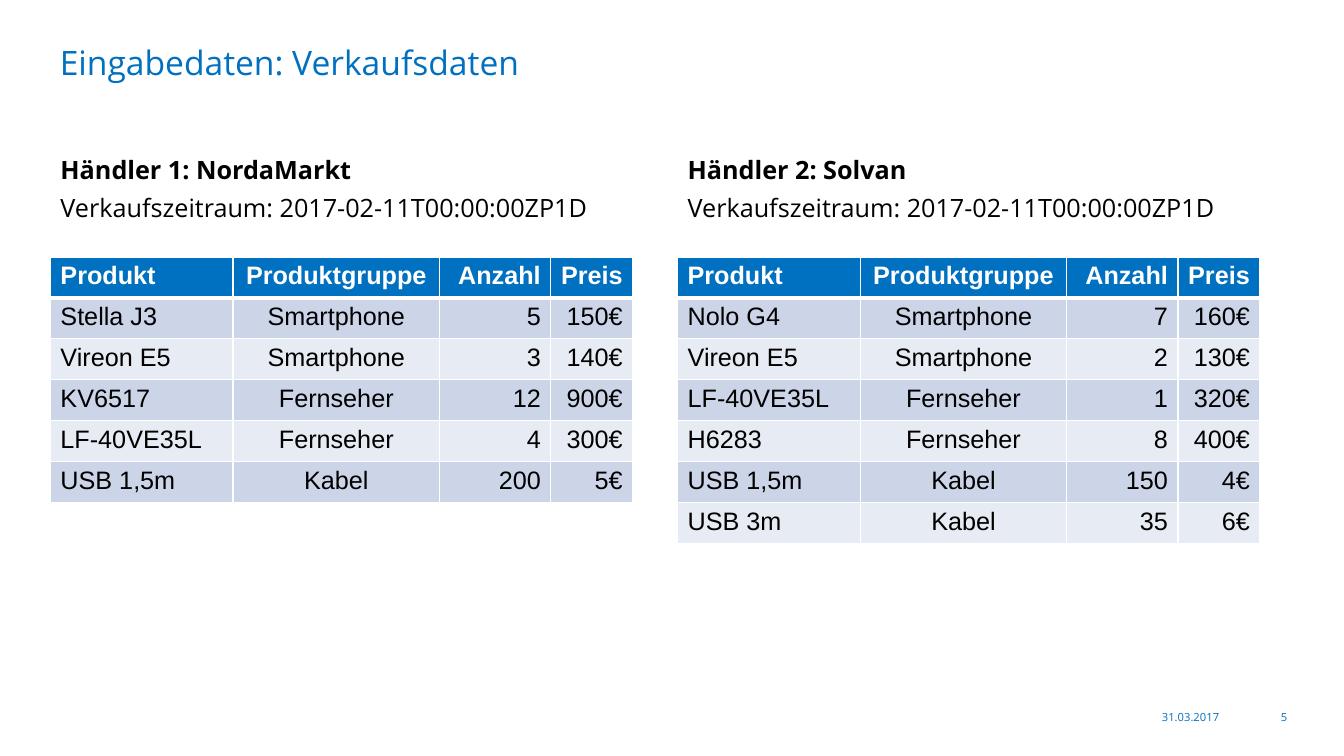
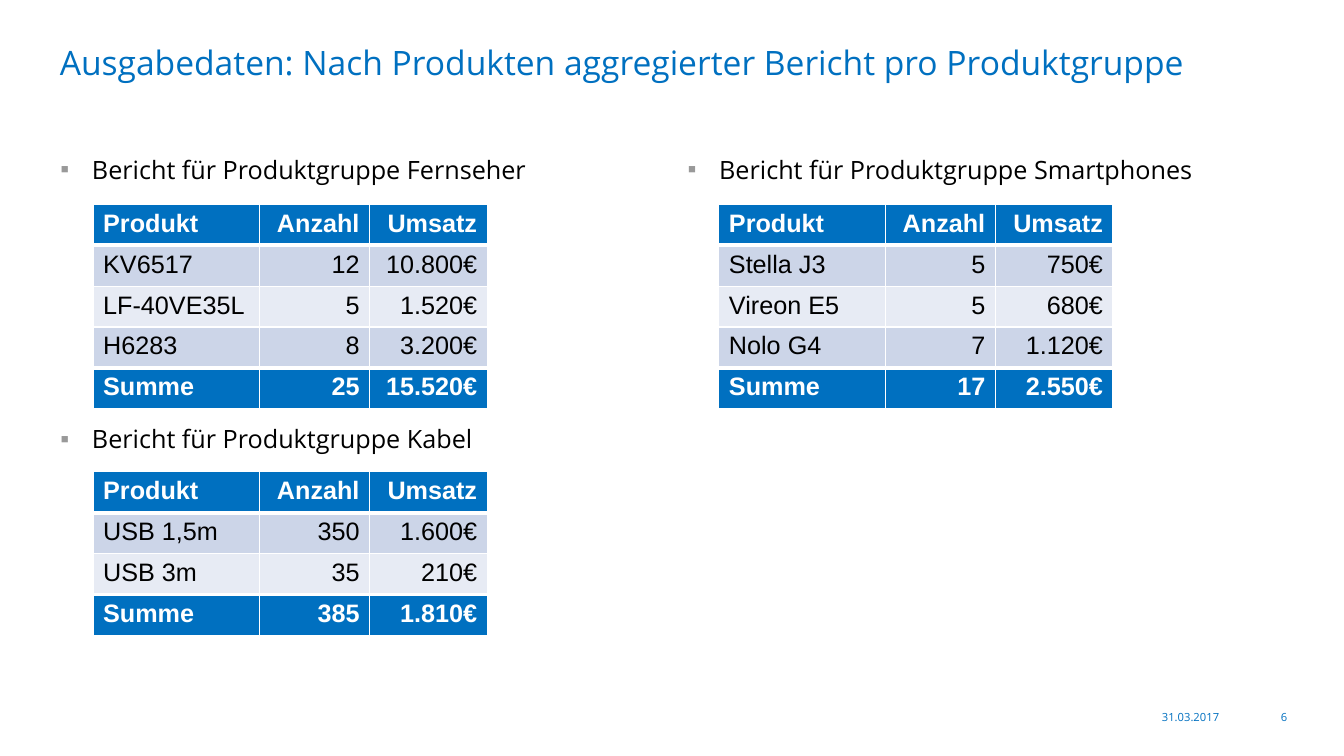
from dataclasses import dataclass

from lxml import etree
from pptx import Presentation, util as u
from pptx.dml.color import RGBColor
from pptx.enum import text
from pptx.oxml import ns

Pt = u.Pt
LEFT, CENTER, RIGHT = (text.PP_ALIGN.LEFT, text.PP_ALIGN.CENTER,
                       text.PP_ALIGN.RIGHT)

# Content
DATE = "31.03.2017"
FIRST_NUMBER = 5
SALES_HEAD = ("Produkt", "Produktgruppe", "Anzahl", "Preis")
REPORT_HEAD = ("Produkt", "Anzahl", "Umsatz")
PERIOD = "Verkaufszeitraum: 2017-02-11T00:00:00ZP1D"

SALES = {"widths": (130.5, 147.5, 79.5, 58.5),
         "aligns": (LEFT, CENTER, RIGHT, RIGHT), "total": False}
REPORT = {"widths": (119, 78.5, 84), "aligns": (LEFT, RIGHT, RIGHT),
          "total": True}

# Body lines: (text, format); tables: (left, top, kind, rows)
HEADING = {"bold": True}
PLAIN = {}
BULLET = {"bullet": True}
LOWER_BULLET = {"bullet": True, "space_before": Pt(165)}

SLIDES = [
    {
        "title": "Eingabedaten: Verkaufsdaten",
        "bodies": [
            [("Händler 1: NordaMarkt", HEADING), (PERIOD, PLAIN)],
            [("Händler 2: Solvan", HEADING), (PERIOD, PLAIN)],
        ],
        "tables": [
            (36, 183.6, SALES, [
                SALES_HEAD,
                ("Stella J3", "Smartphone", "5", "150€"),
                ("Vireon E5", "Smartphone", "3", "140€"),
                ("KV6517", "Fernseher", "12", "900€"),
                ("LF-40VE35L", "Fernseher", "4", "300€"),
                ("USB 1,5m", "Kabel", "200", "5€"),
            ]),
            (484, 183.6, SALES, [
                SALES_HEAD,
                ("Nolo G4", "Smartphone", "7", "160€"),
                ("Vireon E5", "Smartphone", "2", "130€"),
                ("LF-40VE35L", "Fernseher", "1", "320€"),
                ("H6283", "Fernseher", "8", "400€"),
                ("USB 1,5m", "Kabel", "150", "4€"),
                ("USB 3m", "Kabel", "35", "6€"),
            ]),
        ],
    },
    {
        "title": "Ausgabedaten: Nach Produkten aggregierter Bericht "
                 "pro Produktgruppe",
        "bodies": [
            [("Bericht für Produktgruppe Fernseher", BULLET),
             ("Bericht für Produktgruppe Kabel", LOWER_BULLET)],
            [("Bericht für Produktgruppe Smartphones", BULLET)],
        ],
        "tables": [
            (66.5, 146, REPORT, [
                REPORT_HEAD,
                ("KV6517", "12", "10.800€"),
                ("LF-40VE35L", "5", "1.520€"),
                ("H6283", "8", "3.200€"),
                ("Summe", "25", "15.520€"),
            ]),
            (513.5, 146, REPORT, [
                REPORT_HEAD,
                ("Stella J3", "5", "750€"),
                ("Vireon E5", "5", "680€"),
                ("Nolo G4", "7", "1.120€"),
                ("Summe", "17", "2.550€"),
            ]),
            (66.5, 337, REPORT, [
                REPORT_HEAD,
                ("USB 1,5m", "350", "1.600€"),
                ("USB 3m", "35", "210€"),
                ("Summe", "385", "1.810€"),
            ]),
        ],
    },
]


@dataclass(frozen=True)
class Theme:
    blue: str = "0070C0"
    black: str = "000000"
    white: str = "FFFFFF"
    bullet: str = "999999"
    bands: tuple = ("CCD5E8", "E7EBF4")
    text_font: str = "Open Sans"
    table_font: str = "Arial"
    title_size: float = 24
    body_size: float = 18
    footer_size: float = 8
    row_height: float = 29.2
    thin: float = 1
    thick: float = 3


THEME = Theme()

# Shared places: left, top, width, height
PLACES = {0: (35.5, 25, 883, 39), 1: (36, 106.5, 433.5, 356.5),
          2: (484, 106.5, 433.5, 356.5)}
DATE_PLACE = (777, 504, 101, 17.5)
NUMBER_PLACE = (850.5, 504, 76, 17.5)


def set_all(target, values):
    for name, value in values.items():
        setattr(target, name, value)


def write(paragraph, words, size, color, font=THEME.text_font, bold=False,
          align=LEFT):
    paragraph.alignment = align
    run = paragraph.add_run()
    run.text = words
    set_all(run.font, {"name": font, "size": Pt(size), "bold": bold})
    run.font.color.rgb = RGBColor.from_string(color)


def add_xml(parent, tag, **attributes):
    element = etree.SubElement(parent, ns.qn(tag))
    for name, value in attributes.items():
        element.set(name, str(value))
    return element


def set_bullet(paragraph, shown):
    properties = paragraph._p.get_or_add_pPr()
    indent = Pt(22.5) if shown else 0
    properties.set("marL", str(indent))
    properties.set("indent", str(-indent))
    if shown:
        color = add_xml(properties, "a:buClr")
        add_xml(color, "a:srgbClr", val=THEME.bullet)
        add_xml(properties, "a:buChar", char="▪")
    else:
        add_xml(properties, "a:buNone")


def fill_body(frame, lines):
    set_all(frame, {"auto_size": text.MSO_AUTO_SIZE.NONE, "word_wrap": True})
    for index, (words, style) in enumerate(lines):
        paragraph = frame.add_paragraph() if index else frame.paragraphs[0]
        write(paragraph, words, THEME.body_size, THEME.black,
              bold=style.get("bold", False))
        set_all(paragraph, {"line_spacing": 1.0, "space_after": Pt(6),
                            "space_before": style.get("space_before", Pt(0))})
        set_bullet(paragraph, style.get("bullet", False))


def add_footer(slide, place, words):
    box = slide.shapes.add_textbox(*map(Pt, place))
    box.text_frame.word_wrap = True
    write(box.text_frame.paragraphs[0], words, THEME.footer_size, THEME.blue,
          align=RIGHT)


def set_borders(cell, top, bottom):
    properties = cell._tc.get_or_add_tcPr()
    sides = {"L": THEME.thin, "R": THEME.thin, "T": top, "B": bottom}
    for side, width in sides.items():
        line = add_xml(properties, f"a:ln{side}", w=Pt(width))
        add_xml(add_xml(line, "a:solidFill"), "a:srgbClr", val=THEME.white)


def add_product_table(slide, left, top, kind, rows):
    widths = kind["widths"]
    frame = slide.shapes.add_table(
        len(rows), len(widths), Pt(left), Pt(top), Pt(sum(widths)),
        Pt(THEME.row_height * len(rows)))
    table = frame.table
    set_all(table, {"first_row": False, "horz_banding": False})
    for column, width in zip(table.columns, widths):
        column.width = Pt(width)

    # Thick rules lie below the head and above the total
    strong_rows = {0, len(rows) - 1} if kind["total"] else {0}
    thick_rules = {1, len(rows) - 1} if kind["total"] else {1}
    rules = [THEME.thick if index in thick_rules else THEME.thin
             for index in range(len(rows) + 1)]
    for index, values in enumerate(rows):
        table.rows[index].height = Pt(THEME.row_height)
        strong = index in strong_rows
        fill = THEME.blue if strong else THEME.bands[(index - 1) % 2]
        for position, (words, align) in enumerate(zip(values, kind["aligns"])):
            cell = table.cell(index, position)
            set_borders(cell, rules[index], rules[index + 1])
            cell.fill.solid()
            cell.fill.fore_color.rgb = RGBColor.from_string(fill)
            write(cell.text_frame.paragraphs[0], words, THEME.body_size,
                  THEME.white if strong else THEME.black,
                  THEME.table_font, strong, align)


def prepare_layout(presentation):
    layout = presentation.slide_layouts[3]
    for placeholder in layout.placeholders:
        place = PLACES.get(placeholder.placeholder_format.idx)
        if place:
            set_all(placeholder, dict(zip(("left", "top", "width", "height"),
                                          map(Pt, place))))
    return layout


def build_slide(presentation, layout, number, content):
    slide = presentation.slides.add_slide(layout)
    add_footer(slide, DATE_PLACE, DATE)
    add_footer(slide, NUMBER_PLACE, str(number))
    title = slide.shapes.title.text_frame
    set_all(title, {"auto_size": text.MSO_AUTO_SIZE.NONE, "word_wrap": True,
                    "vertical_anchor": text.MSO_ANCHOR.MIDDLE})
    write(title.paragraphs[0], content["title"], THEME.title_size, THEME.blue)
    for index, lines in enumerate(content["bodies"], 1):
        fill_body(slide.placeholders[index].text_frame, lines)
    for table in content["tables"]:
        add_product_table(slide, *table)


def main():
    presentation = Presentation()
    set_all(presentation, {"slide_width": Pt(960), "slide_height": Pt(540)})
    layout = prepare_layout(presentation)
    for number, content in enumerate(SLIDES, FIRST_NUMBER):
        build_slide(presentation, layout, number, content)
    presentation.save("out.pptx")


if __name__ == "__main__":
    main()
